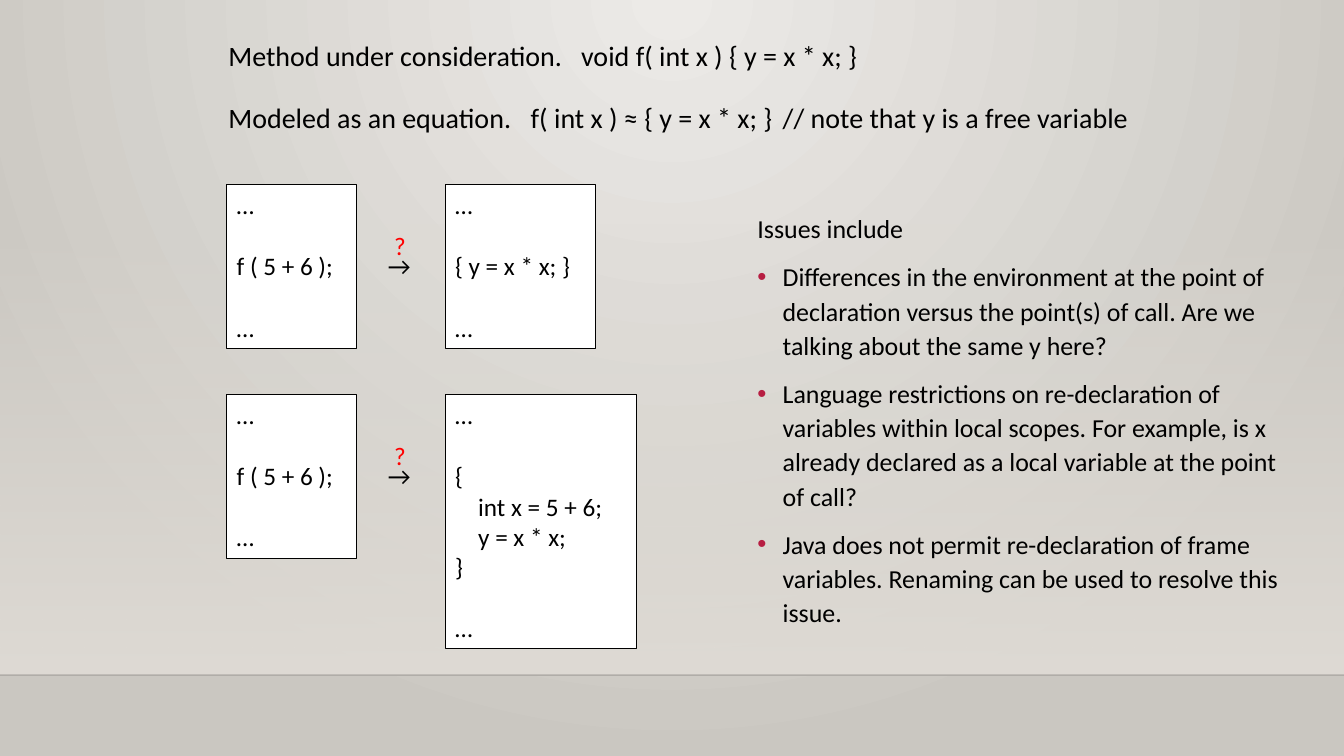
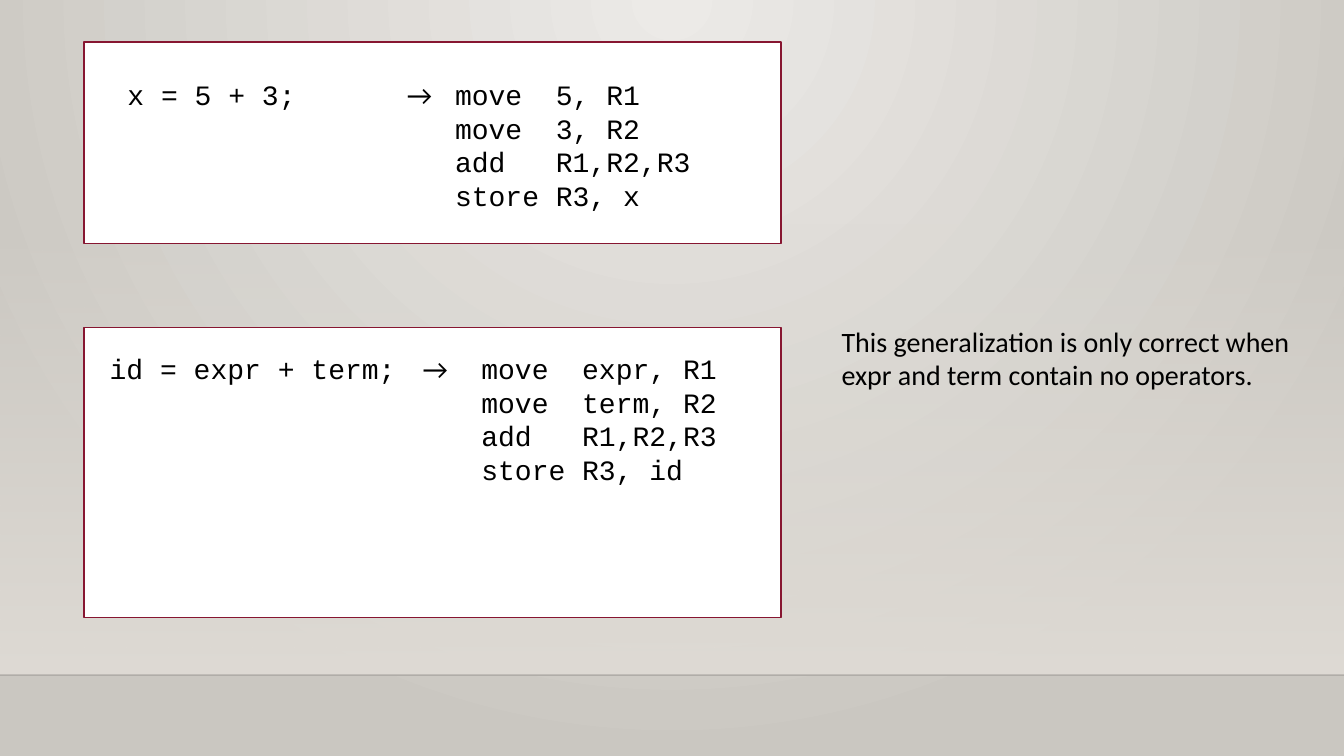
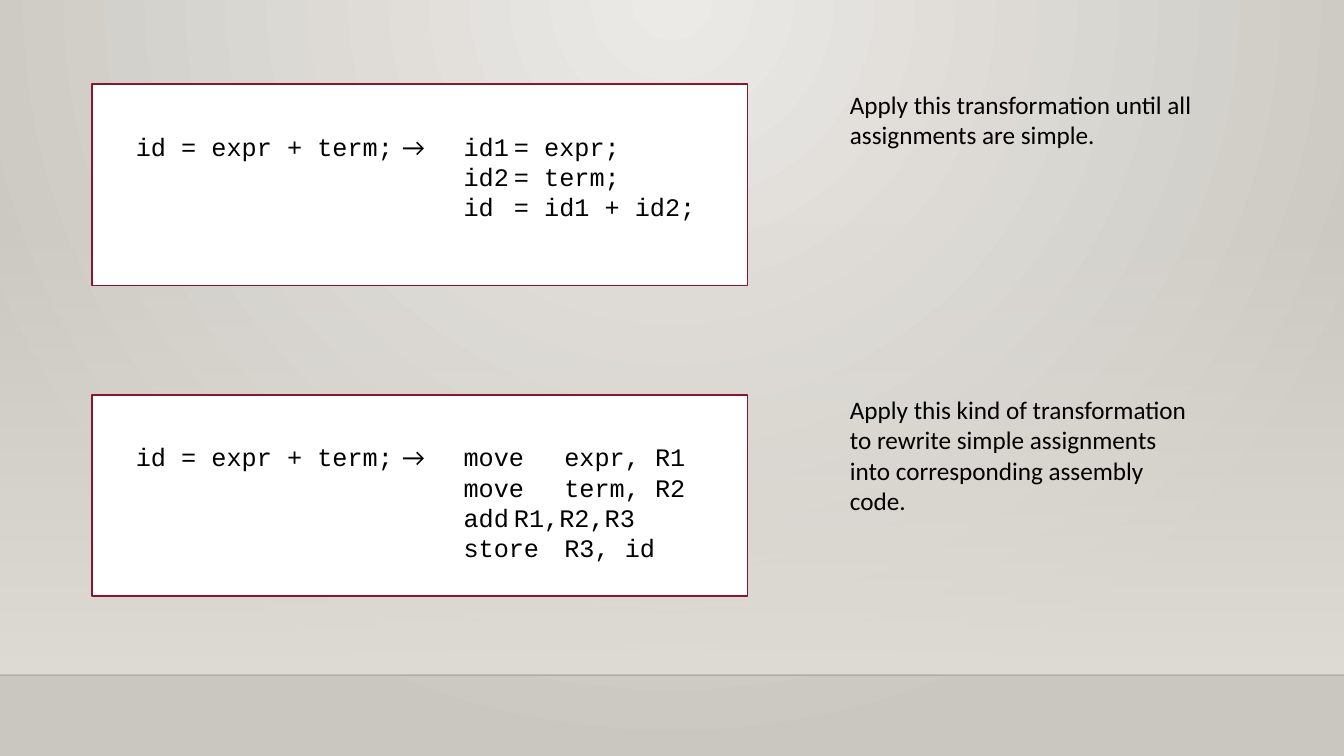
import collections

import pptx
import pptx.dml.color
import pptx.enum.shapes
import pptx.enum.text
import pptx.oxml.ns
import pptx.util
from lxml import etree

RGB = pptx.dml.color.RGBColor
BLACK = RGB(0x00, 0x00, 0x00)
WHITE = RGB(0xFF, 0xFF, 0xFF)
RED = RGB(0xFF, 0x00, 0x00)
CRIMSON = RGB(0xB7, 0x1E, 0x42)
WINE = RGB(0x87, 0x16, 0x31)
GLOW = RGB(0xEC, 0xEA, 0xE7)
STONE = RGB(0xCA, 0xC7, 0xC1)
SAND = RGB(0xDF, 0xDB, 0xD5)

PROSE, CODE = "Calibri", "Courier New"
WIDTH, HEIGHT, FLOOR = 1280, 720, 643
BLANK_LAYOUT = 6

# gap: points before the line; indent: px; bullet: hanging bullet in the indent
Line = collections.namedtuple("Line", "text gap indent bullet", defaults=(0, 0, False))


def px(length):
    return pptx.util.Emu(length * 9525)


def add_xml(parent, tag, **attributes):
    values = {name: str(value) for name, value in attributes.items()}
    return etree.SubElement(parent, pptx.oxml.ns.qn(tag), values)


def set_alpha(parent, percent):
    color = next(parent.iter(pptx.oxml.ns.qn("a:srgbClr")))
    add_xml(color, "a:alpha", val=percent * 1000)


class Deck:
    def __init__(self):
        self.prs = pptx.Presentation()
        self.prs.slide_width, self.prs.slide_height = px(WIDTH), px(HEIGHT)
        self.slide = None
        self.paint_background()

    def gradient(self, fill, start, end):
        fill.gradient()
        for stop, color in zip(fill.gradient_stops, (start, end)):
            stop.color.rgb = color

    def paint_background(self):
        """Radial glow from the top centre, shared through the master."""
        master = self.prs.slide_master
        self.gradient(master.background.fill, GLOW, STONE)
        grad = next(master.element.iter(pptx.oxml.ns.qn("a:gradFill")))
        grad.remove(grad.find(pptx.oxml.ns.qn("a:lin")))
        glow = etree.Element(pptx.oxml.ns.qn("a:path"), {"path": "circle"})
        add_xml(glow, "a:fillToRect", l=43000, t=0, r=43000, b=100000)
        grad.find(pptx.oxml.ns.qn("a:gsLst")).addnext(glow)

    def new_slide(self):
        layout = self.prs.slide_layouts[BLANK_LAYOUT]
        self.slide = self.prs.slides.add_slide(layout)
        # Wall fading in towards the floor
        wall = self.rect(0, 212, WIDTH, FLOOR - 212)
        self.gradient(wall.fill, SAND, SAND)
        wall.fill.gradient_angle = 270
        set_alpha(wall.element, 0)
        wall.line.fill.background()
        # Floor line
        floor = self.slide.shapes.add_connector(
            pptx.enum.shapes.MSO_CONNECTOR.STRAIGHT, 0, px(FLOOR), px(WIDTH), px(FLOOR))
        floor.line.color.rgb = BLACK
        floor.line.width = pptx.util.Pt(1)
        properties = floor.element.spPr
        set_alpha(properties, 20)
        add_xml(properties, "a:effectLst")

    def rect(self, left, top, width, height):
        shape = self.slide.shapes.add_shape(
            pptx.enum.shapes.MSO_SHAPE.RECTANGLE, px(left), px(top), px(width), px(height))
        shape.shadow.inherit = False
        return shape

    def panel(self, left, top, width, height, border=WINE, weight=1.25):
        shape = self.rect(left, top, width, height)
        shape.fill.solid()
        shape.fill.fore_color.rgb = WHITE
        shape.line.color.rgb = border
        shape.line.width = pptx.util.Pt(weight)
        return shape

    def set_lines(self, shape, lines, size, font=PROSE, color=BLACK, wrap=True,
                  grow=True, spacing=None, tabs=()):
        frame = shape.text_frame
        frame.word_wrap = wrap
        frame.vertical_anchor = pptx.enum.text.MSO_ANCHOR.TOP
        if grow:
            frame.auto_size = pptx.enum.text.MSO_AUTO_SIZE.SHAPE_TO_FIT_TEXT
        for index, line in enumerate(lines):
            if isinstance(line, str):
                line = Line(line)
            paragraph = frame.paragraphs[0] if index == 0 else frame.add_paragraph()
            paragraph.text = line.text
            paragraph.alignment = pptx.enum.text.PP_ALIGN.LEFT
            paragraph.space_before = pptx.util.Pt(line.gap)
            if spacing:
                paragraph.line_spacing = spacing
            properties = paragraph._p.get_or_add_pPr()
            properties.set("marL", str(px(line.indent)))
            properties.set("indent", str(px(-line.indent if line.bullet else 0)))
            if line.bullet:
                add_xml(add_xml(properties, "a:buClr"), "a:srgbClr", val=CRIMSON)
                add_xml(properties, "a:buFont", typeface="Arial")
                add_xml(properties, "a:buChar", char="•")
            if tabs:
                stops = add_xml(properties, "a:tabLst")
                for stop in tabs:
                    add_xml(stops, "a:tab", pos=px(stop), algn="l")
            paragraph.font.name = font
            paragraph.font.size = pptx.util.Pt(size)
            paragraph.font.color.rgb = color

    def text(self, left, top, width, height, lines, size, **style):
        box = self.slide.shapes.add_textbox(px(left), px(top), px(width), px(height))
        self.set_lines(box, lines, size, **style)

    def listing(self, left, top, width, height, lines):
        box = self.panel(left, top, width, height, BLACK, 0.75)
        self.set_lines(box, lines, 18, wrap=False)

    def rewrite_rule(self, top, size, source, arrow_left, target, tab):
        """Source code, an arrow, and the code it becomes; code is (left, width, text)."""
        source_left, source_width, statement = source
        target_left, target_width, result = target
        line = 32 if size == 20 else 29
        self.text(source_left, top, source_width, line + 10, [statement], size, font=CODE)
        self.text(target_left, top, target_width, line * len(result) + 10, result, size,
                  font=CODE, tabs=(tab,))
        self.text(arrow_left, top, 50, line + 10, [" →"], size, wrap=False)


def inlining_slide(deck):
    deck.new_slide()
    # Method and its model
    deck.text(208, 32, 1032, 42,
              ["Method under consideration.\tvoid f( int x ) { y = x * x; }"], 20, tabs=(348,))
    deck.text(208, 91, 1032, 42,
              ["Modeled as an equation.\tf( int x ) ≈ { y = x * x; }"
               "\t// note that y is a free variable"], 20, tabs=(336, 615))
    # Calls and their candidate expansions
    blank = 22
    call = ["…", Line("f ( 5 + 6 );", blank), Line("…", blank)]
    plain = ["…", Line("{ y = x * x; }", blank), Line("…", blank)]
    scoped = ["…", Line("{", blank), Line("int x = 5 + 6;", indent=22),
              Line("y = x * x;", indent=22), "}", Line("…", blank)]
    for top, expansion, width, height in ((176, plain, 143, 156), (376, scoped, 182, 242)):
        deck.listing(216, top, 124, 156, call)
        deck.listing(424, top, width, height, expansion)
        deck.text(360, top + 58, 43, 39, ["→"], 18, wrap=False)
        deck.text(366, top + 39, 30, 39, ["?"], 18, color=RED, wrap=False)
    # Issues
    issues = [
        "Differences in the environment at the point of declaration versus the point(s) "
        "of call. Are we talking about the same y here?",
        "Language restrictions on re-declaration of variables within local scopes. For "
        "example, is x already declared as a local variable at the point of call?",
        "Java does not permit re-declaration of frame variables. Renaming can be used to "
        "resolve this issue.",
    ]
    deck.text(712, 195, 528, 423,
              [Line("Issues include", 10)] + [Line(issue, 10, 24, True) for issue in issues],
              18.5, grow=False, spacing=1.1)


GENERAL = "id = expr + term;"
GENERAL_ASSEMBLY = ["move\texpr, R1", "move\tterm, R2", "add\tR1,R2,R3", "store\tR3, id"]


def generalization_slide(deck):
    deck.new_slide()
    # Concrete case
    deck.panel(80, 40, 664, 192)
    deck.rewrite_rule(69, 20, (112, 184, "x = 5 + 3;"), 372,
                      (424, 248, ["move\t5, R1", "move\t3, R2", "add\tR1,R2,R3",
                                  "store\tR3, x"]), 96)
    # General case
    deck.panel(80, 312, 664, 276)
    deck.rewrite_rule(330, 20, (95, 300, GENERAL), 387, (449, 262, GENERAL_ASSEMBLY), 96)
    deck.text(792, 304, 448, 74,
              ["This generalization is only correct when expr and term contain no operators."], 20)


def two_step_slide(deck):
    deck.new_slide()
    simple = ["id1\t= expr;", "id2\t= term;", "id\t= id1 + id2;"]
    steps = (
        (80, simple, 58, 80, "Apply this transformation until all assignments are simple."),
        (376, GENERAL_ASSEMBLY, 86, 371, "Apply this kind of transformation to rewrite simple "
         "assignments into corresponding assembly code."),
    )
    for top, result, tab, note_top, note in steps:
        deck.panel(88, top, 624, 192)
        deck.rewrite_rule(top + 40, 18, (120, 280, GENERAL), 368, (432, 264, result), tab)
        deck.text(800, note_top, 352, 68, [note], 18)


def main():
    deck = Deck()
    inlining_slide(deck)
    generalization_slide(deck)
    two_step_slide(deck)
    deck.prs.save("out.pptx")


if __name__ == "__main__":
    main()
